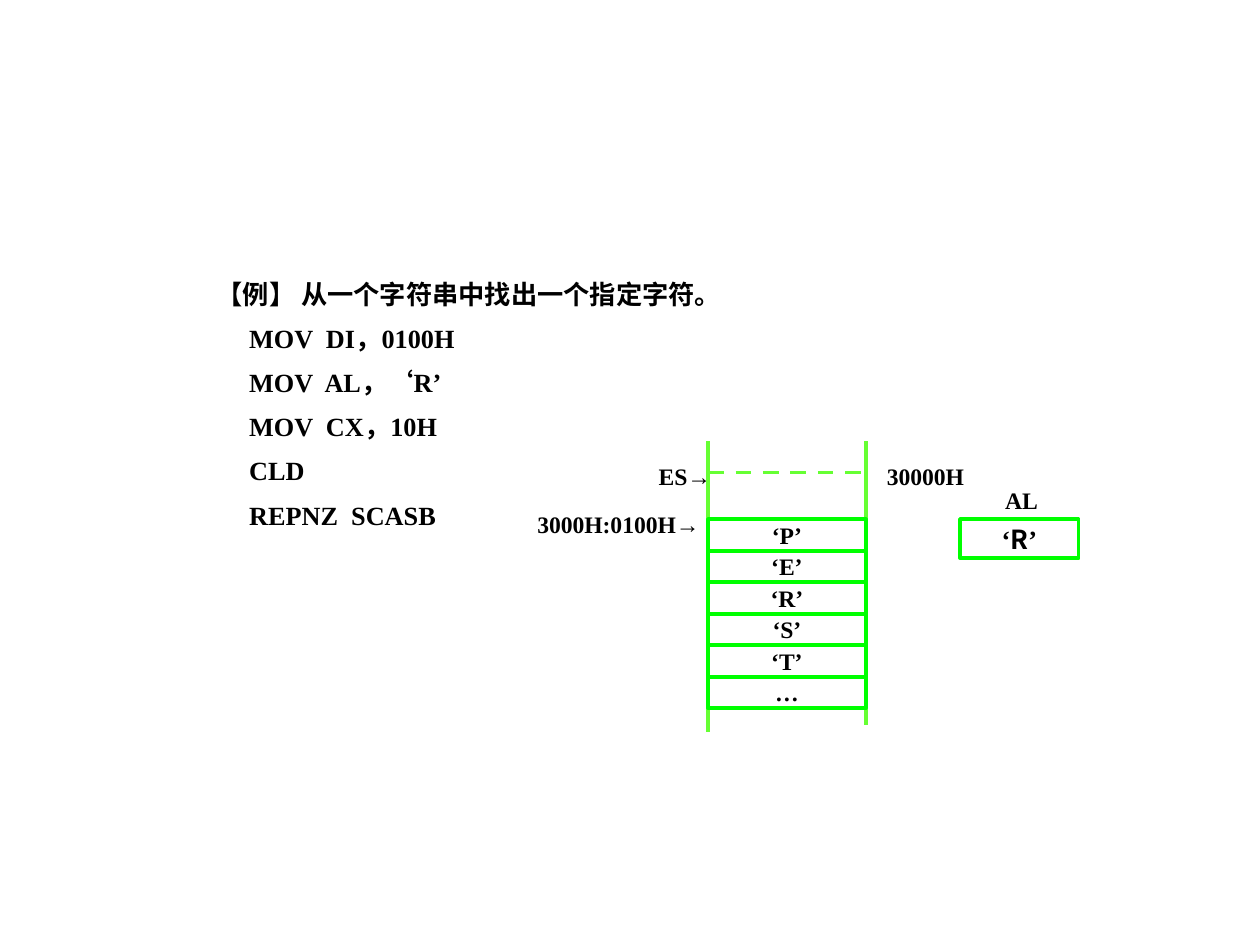
from lxml import etree
from pptx import Presentation
from pptx.dml.color import RGBColor
from pptx.enum import dml, shapes, text
from pptx.oxml import ns
from pptx.util import Inches, Pt

COLORS = {"text": "000000", "cell": "00FF00", "rail": "66FF33"}
LATIN_FONT = "Times New Roman"
CHINESE_FONT = "Noto Sans CJK SC"
LINE_WIDTH = 2.25

PROGRAM = [
    "【例】 从一个字符串中找出一个指定字符。",
    "     MOV  DI，0100H",
    "     MOV  AL，‘R’",
    "     MOV  CX，10H",
    "     CLD",
    "     REPNZ  SCASB",
]
MEMORY = ["‘P’", "‘E’", "‘R’", "‘S’", "‘T’", "…"]
MEMORY_LEFT, MEMORY_TOP = 5.62, 4.12
CELL_WIDTH, CELL_HEIGHT = 1.25, 0.25


def color(name):
    return RGBColor.from_string(COLORS[name])


def style_font(font, size):
    font.size = Pt(size)
    font.bold = True
    font.name = LATIN_FONT
    font.color.rgb = color("text")


def add_text(slide, lines, box, size=13.5, align=text.PP_ALIGN.LEFT,
             spacing=1.0, margin_right=0.1):
    shape = slide.shapes.add_textbox(*map(Inches, box))
    frame = shape.text_frame
    frame.word_wrap = True
    frame.margin_right = Inches(margin_right)
    frame.text = "\n".join(lines)
    for paragraph in frame.paragraphs:
        paragraph.alignment = align
        paragraph.line_spacing = spacing
        style_font(paragraph.font, size)


def add_cell(slide, runs, box, size=13.5):
    """Outlined box; runs are (text, font name) pairs."""
    shape = slide.shapes.add_shape(shapes.MSO_SHAPE.RECTANGLE, *map(Inches, box))
    shape.shadow.inherit = False
    shape.fill.background()
    shape.line.color.rgb = color("cell")
    shape.line.width = Pt(LINE_WIDTH)
    frame = shape.text_frame
    frame.word_wrap = False
    frame.vertical_anchor = text.MSO_ANCHOR.MIDDLE
    paragraph = frame.paragraphs[0]
    paragraph.alignment = text.PP_ALIGN.CENTER
    for content, font_name in runs:
        run = paragraph.add_run()
        run.text = content
        style_font(run.font, size)
        run.font.name = font_name


def add_rail(slide, start, end, dashed=False):
    connector = slide.shapes.add_connector(
        shapes.MSO_CONNECTOR.STRAIGHT, *map(Inches, start + end))
    connector.line.color.rgb = color("rail")
    connector.line.width = Pt(LINE_WIDTH)
    if dashed:
        connector.line.dash_style = dml.MSO_LINE.DASH
    etree.SubElement(connector._element.spPr, ns.qn("a:effectLst"))


def main():
    presentation = Presentation()
    presentation.slide_width = Inches(10)
    presentation.slide_height = Inches(7.5)
    slide = presentation.slides.add_slide(presentation.slide_layouts[6])

    # Example program
    add_text(slide, PROGRAM, (1.62, 2.06, 4.31, 2.55), size=15, spacing=1.4)

    # Memory column: side rails, segment start, cells
    memory_right = MEMORY_LEFT + CELL_WIDTH
    add_rail(slide, (MEMORY_LEFT, 3.5), (MEMORY_LEFT, 5.81))
    add_rail(slide, (memory_right, 3.5), (memory_right, 5.75))
    add_rail(slide, (MEMORY_LEFT, 3.75), (memory_right, 3.75), dashed=True)
    for index, value in enumerate(MEMORY):
        top = MEMORY_TOP + index * CELL_HEIGHT
        add_cell(slide, [(value, LATIN_FONT)],
                 (MEMORY_LEFT, top, CELL_WIDTH, CELL_HEIGHT))

    # Address labels
    right = text.PP_ALIGN.RIGHT
    add_text(slide, ["ES→"], (4.62, 3.62, 1.12, 0.55), align=right)
    add_text(slide, ["3000H:0100H→"], (4, 4, 1.75, 0.33), align=right,
             margin_right=0.2)
    add_text(slide, ["30000H"], (6.94, 3.62, 1.12, 0.33))

    # Register AL
    add_text(slide, ["AL"], (7.88, 3.81, 0.5, 0.33))
    add_cell(slide, [("‘", LATIN_FONT), ("R", CHINESE_FONT), ("’", LATIN_FONT)],
             (7.62, MEMORY_TOP, 0.94, 0.31), size=15)

    presentation.save("out.pptx")


if __name__ == "__main__":
    main()
